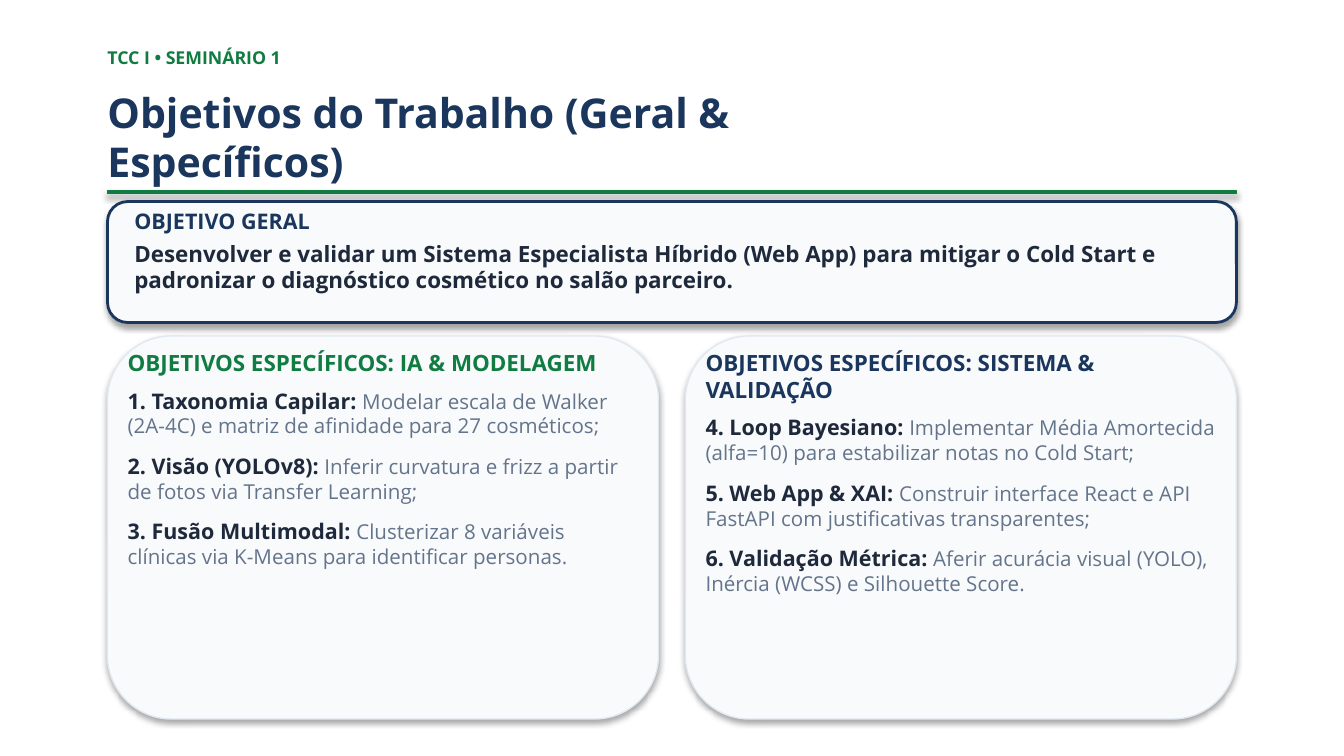
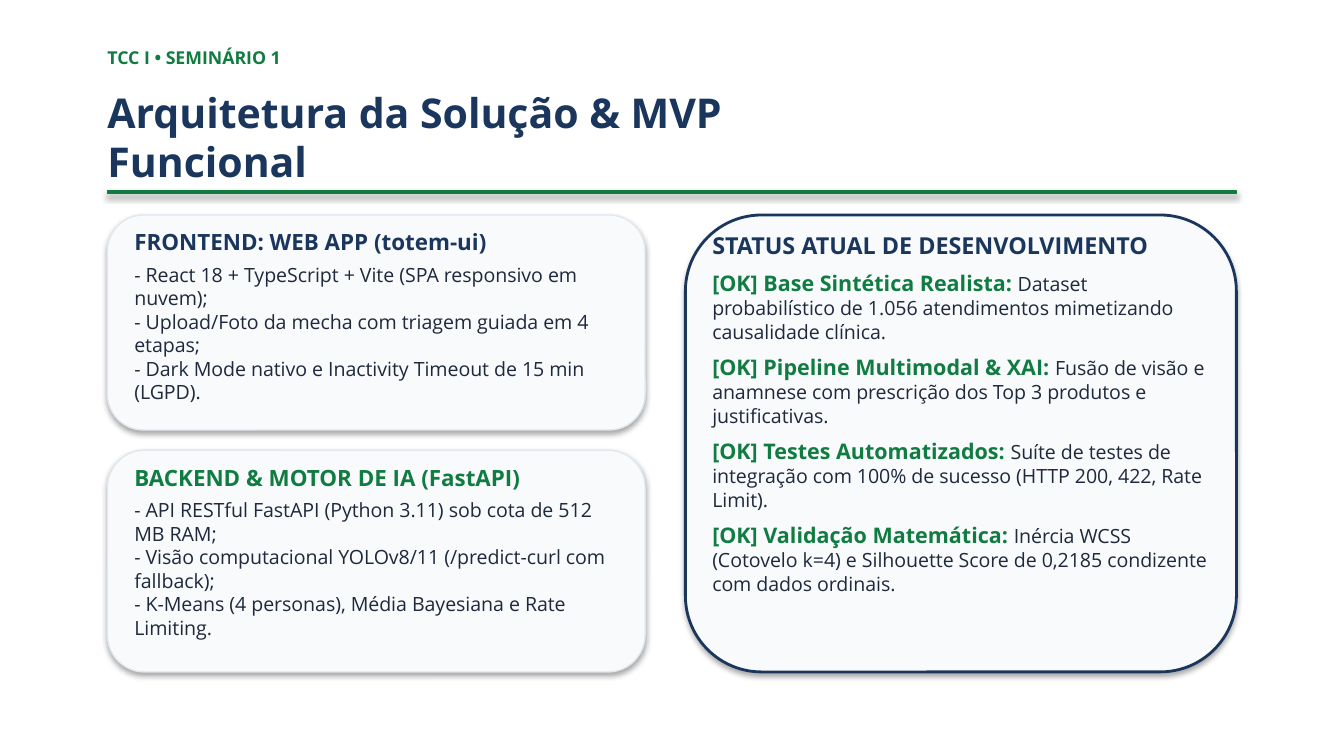
"""Builds two slides on the goals and the architecture of a final-year project."""
from pptx import Presentation
from pptx.dml.color import RGBColor
from pptx.enum.shapes import MSO_SHAPE
from pptx.enum.text import MSO_AUTO_SIZE
from pptx.util import Pt

RECT = MSO_SHAPE.RECTANGLE
ROUND = MSO_SHAPE.ROUNDED_RECTANGLE
GROW = MSO_AUTO_SIZE.SHAPE_TO_FIT_TEXT

FONT = "Open Sans"
NAVY, GREEN, INK = "1B365D", "107C41", "1E293B"
GREY, EDGE, PALE, WHITE = "64748B", "E2E8F0", "F8FAFC", "FFFFFF"

WIDE, HIGH = 720, 405
LEFT, SPAN = 57.6, 604.8
COL = 295.2
RIGHT = LEFT + SPAN - COL
LABEL = "TCC I • SEMINÁRIO 1"

STYLES = {
    "goal": {"pad": (14.4, 3.6), "edge": (NAVY, 1.5), "gaps": (3, 0),
             "lead": (12, INK), "body": (12, INK)},
    "aims": {"pad": (10.8, 7.2), "edge": (EDGE, 0.75), "gaps": (6, 8),
             "lead": (11.5, INK), "body": (11, GREY)},
    "stack": {"pad": (14.4, 7.2), "edge": (EDGE, 0.75), "gaps": (4, 0),
              "lead": (10.5, INK), "body": (10.5, INK)},
    "status": {"pad": (14.4, 8.64), "edge": (NAVY, 1.5), "gaps": (6, 6),
               "lead": (11.5, GREEN), "body": (10.5, INK)},
}

SLIDES = [
    ("Objetivos do Trabalho (Geral & Específicos)", [
        ("goal", (LEFT, 108, SPAN, 64.8), ("OBJETIVO GERAL", 11.5, NAVY), [
            ("Desenvolver e validar um Sistema Especialista Híbrido (Web App) para mitigar "
             "o Cold Start e padronizar o diagnóstico cosmético no salão parceiro.", ""),
        ]),
        ("aims", (LEFT, 180, COL, 205.2),
         ("OBJETIVOS ESPECÍFICOS: IA & MODELAGEM", 12, GREEN), [
            ("1. Taxonomia Capilar: ",
             "Modelar escala de Walker (2A-4C) e matriz de afinidade para 27 cosméticos;"),
            ("2. Visão (YOLOv8): ",
             "Inferir curvatura e frizz a partir de fotos via Transfer Learning;"),
            ("3. Fusão Multimodal: ",
             "Clusterizar 8 variáveis clínicas via K-Means para identificar personas."),
        ]),
        ("aims", (RIGHT, 180, COL, 205.2),
         ("OBJETIVOS ESPECÍFICOS: SISTEMA & VALIDAÇÃO", 12, NAVY), [
            ("4. Loop Bayesiano: ",
             "Implementar Média Amortecida (alfa=10) para estabilizar notas no Cold Start;"),
            ("5. Web App & XAI: ",
             "Construir interface React e API FastAPI com justificativas transparentes;"),
            ("6. Validação Métrica: ",
             "Aferir acurácia visual (YOLO), Inércia (WCSS) e Silhouette Score."),
        ]),
    ]),
    ("Arquitetura da Solução & MVP Funcional", [
        ("stack", (LEFT, 115.2, 288, 115.2), ("FRONTEND: WEB APP (totem-ui)", 12, NAVY), [
            ("", "- React 18 + TypeScript + Vite (SPA responsivo em nuvem);"),
            ("", "- Upload/Foto da mecha com triagem guiada em 4 etapas;"),
            ("", "- Dark Mode nativo e Inactivity Timeout de 15 min (LGPD)."),
        ]),
        ("stack", (LEFT, 241.2, 288, 118.8), ("BACKEND & MOTOR DE IA (FastAPI)", 12, GREEN), [
            ("", "- API RESTful FastAPI (Python 3.11) sob cota de 512 MB RAM;"),
            ("", "- Visão computacional YOLOv8/11 (/predict-curl com fallback);"),
            ("", "- K-Means (4 personas), Média Bayesiana e Rate Limiting."),
        ]),
        ("status", (RIGHT, 115.2, COL, 244.8),
         ("STATUS ATUAL DE DESENVOLVIMENTO", 12.5, NAVY), [
            ("[OK] Base Sintética Realista: ",
             "Dataset probabilístico de 1.056 atendimentos mimetizando causalidade clínica."),
            ("[OK] Pipeline Multimodal & XAI: ",
             "Fusão de visão e anamnese com prescrição dos Top 3 produtos e justificativas."),
            ("[OK] Testes Automatizados: ",
             "Suíte de testes de integração com 100% de sucesso (HTTP 200, 422, Rate Limit)."),
            ("[OK] Validação Matemática: ",
             "Inércia WCSS (Cotovelo k=4) e Silhouette Score de 0,2185 condizente com "
             "dados ordinais."),
        ]),
    ]),
]


def paint(hue):
    """Turns a hex string into a colour."""
    return RGBColor.from_string(hue)


def block(slide, kind, area, fill, edge):
    """Adds a filled shape that keeps the soft shadow of the theme."""
    shape = slide.shapes.add_shape(kind, *map(Pt, area))
    shape.fill.solid()
    shape.fill.fore_color.rgb = paint(fill)
    hue, width = edge
    shape.line.color.rgb = paint(hue)
    shape.line.width = Pt(width)


def write(slide, area, lines):
    """Adds a text box from (gap, runs) lines; a run is text, size, colour, bold."""
    frame = slide.shapes.add_textbox(*map(Pt, area)).text_frame
    frame.word_wrap = True
    frame.auto_size = GROW
    frame.margin_left = frame.margin_right = frame.margin_top = frame.margin_bottom = 0
    for i, (gap, runs) in enumerate(lines):
        para = frame.paragraphs[0] if i == 0 else frame.add_paragraph()
        if gap:
            para.space_after = Pt(gap)
        for text, size, hue, bold in runs:
            run = para.add_run()
            run.text = text
            run.font.name = FONT
            run.font.size = Pt(size)
            run.font.bold = bold
            run.font.color.rgb = paint(hue)


def card(slide, kind, area, head, items):
    """Adds a rounded card with a heading and its items."""
    style = STYLES[kind]
    block(slide, ROUND, area, PALE, style["edge"])
    x, y, w, h = area
    dx, dy = style["pad"]
    first, rest = style["gaps"]
    lines = [(first, [(*head, True)])]
    for lead, body in items:
        runs = [(lead, *style["lead"], True), (body, *style["body"], False)]
        lines.append((rest, [run for run in runs if run[0]]))
    write(slide, (x + dx, y + dy, w - 2 * dx, h - 2 * dy), lines)


def main():
    """Builds and saves the deck."""
    deck = Presentation()
    deck.slide_width, deck.slide_height = Pt(WIDE), Pt(HIGH)
    for title, cards in SLIDES:
        slide = deck.slides.add_slide(deck.slide_layouts[6])
        slide.background.fill.solid()
        slide.background.fill.fore_color.rgb = paint(WHITE)
        write(slide, (LEFT, 25.2, 396, 21.6), [(0, [(LABEL, 9.5, GREEN, True)])])
        write(slide, (LEFT, 46.8, 417.6, 54), [(0, [(title, 22, NAVY, True)])])
        block(slide, RECT, (LEFT, 102.24, SPAN, 1.44), GREEN, (GREEN, 0.75))
        for spot in cards:
            card(slide, *spot)
    deck.save("out.pptx")


if __name__ == "__main__":
    main()
